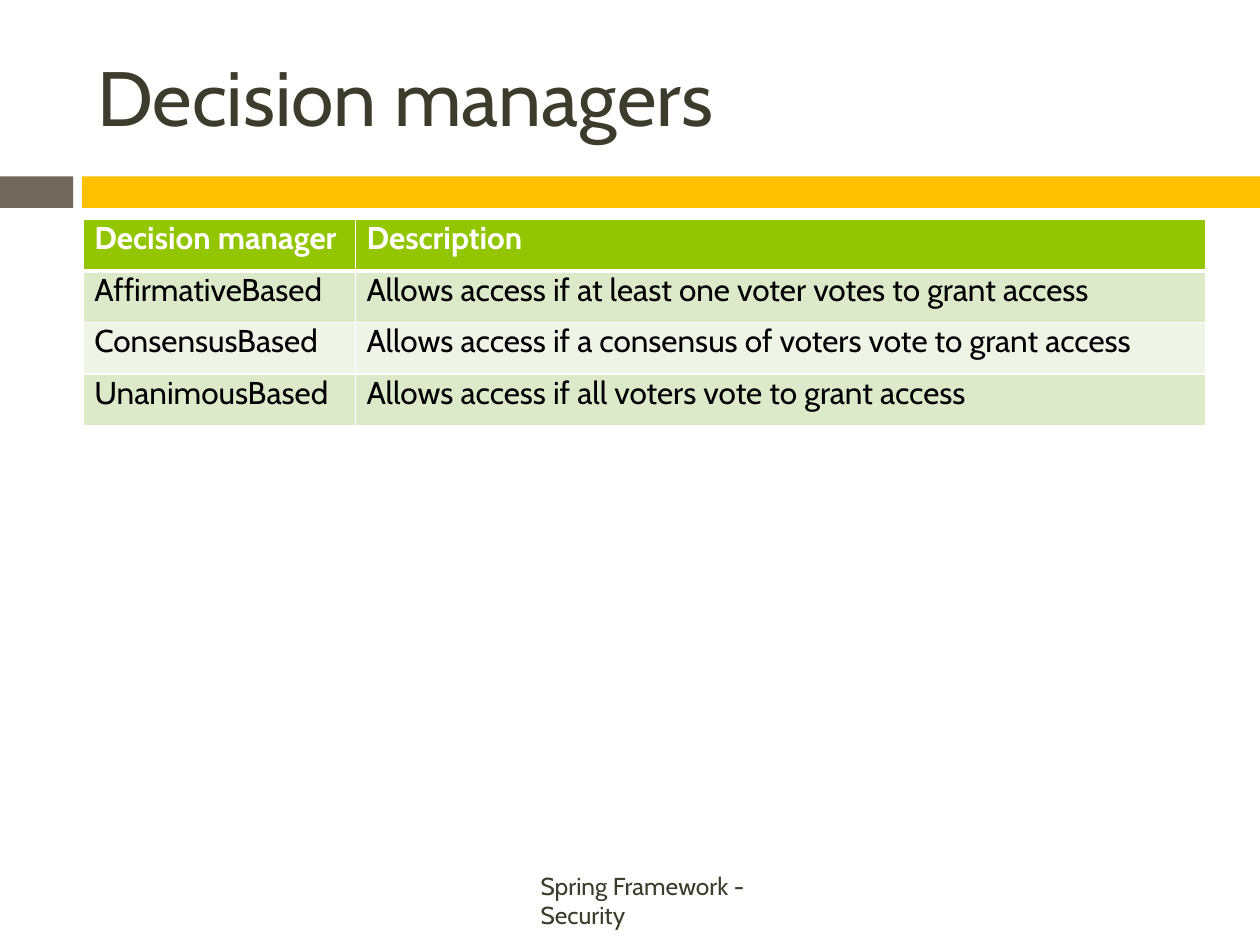
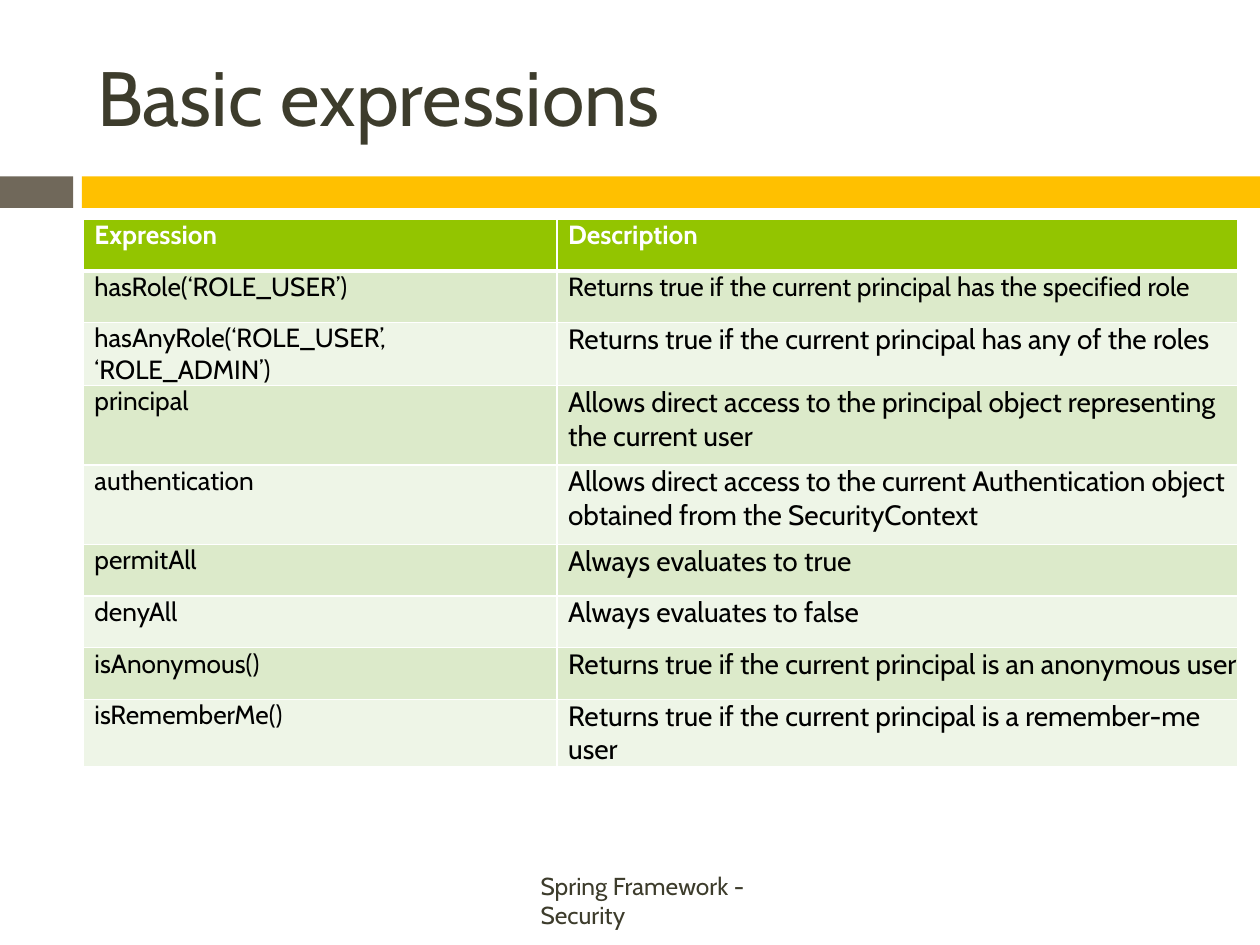
from lxml import etree
from pptx import Presentation
from pptx.dml.color import RGBColor
from pptx.enum.shapes import MSO_SHAPE
from pptx.oxml.ns import qn
from pptx.util import Inches, Pt

RECTANGLE = MSO_SHAPE.RECTANGLE
FONT = "Cabin"
INK, WHITE, BLACK = "3D3C2C", "FFFFFF", "000000"
HEADER_FILL = "93C500"
ROW_FILLS = ("DCEACA", "EEF5E7")
BANDS = [(0, 0.58, "70685A"), (0.65, 9.35, "FFC000")]
FOOTER = "Spring Framework - Security"

PAGES = [
    {
        "title": "Decision managers",
        "widths": (2.16, 6.75),
        "sizes": (18, 18),
        "tall_rows": (),
        "small_rows": (),
        "rows": [
            ("Decision manager", "Description"),
            ("AffirmativeBased", "Allows access if at least one voter votes to grant access"),
            ("ConsensusBased", "Allows access if a consensus of voters vote to grant access"),
            ("UnanimousBased", "Allows access if all voters vote to grant access"),
        ],
    },
    {
        "title": "Basic expressions",
        "widths": (3.76, 5.4),
        "sizes": (15, 16),
        "tall_rows": (3, 4),
        "small_rows": (0, 1),
        "rows": [
            ("Expression", "Description"),
            ("hasRole(‘ROLE_USER’)", "Returns true if the current principal has the specified role"),
            ("hasAnyRole(‘ROLE_USER’, ‘ROLE_ADMIN’)",
             "Returns true if the current principal has any of the roles"),
            ("principal", "Allows direct access to the principal object representing the current user"),
            ("authentication",
             "Allows direct access to the current Authentication object\n"
             "obtained from the SecurityContext"),
            ("permitAll", "Always evaluates to true"),
            ("denyAll", "Always evaluates to false"),
            ("isAnonymous()", "Returns true if the current principal is an anonymous user"),
            ("isRememberMe()", "Returns true if the current principal is a remember-me user"),
        ],
    },
]


def color(value):
    return RGBColor.from_string(value)


def write(frame, text, size, ink=INK, bold=False):
    frame.word_wrap = True
    for index, line in enumerate(text.split("\n")):
        para = frame.add_paragraph() if index else frame.paragraphs[0]
        span = para.add_run()
        span.text = line
        span.font.name = FONT
        span.font.size = Pt(size)
        span.font.bold = bold
        span.font.color.rgb = color(ink)


def add_text(page, text, left, top, width, height, **style):
    box = page.shapes.add_textbox(Inches(left), Inches(top), Inches(width), Inches(height))
    frame = box.text_frame
    frame.margin_left = frame.margin_right = frame.margin_top = frame.margin_bottom = 0
    write(frame, text, **style)


def add_band(page, left, width, fill):
    band = page.shapes.add_shape(RECTANGLE, Inches(left), Inches(1.4), Inches(width), Inches(0.25))
    band.shadow.inherit = False
    band.fill.solid()
    band.fill.fore_color.rgb = color(fill)
    band.line.fill.background()


def set_borders(cell, **points):
    properties = cell._tc.get_or_add_tcPr()
    for side in "LRTB":
        line = etree.SubElement(properties, qn(f"a:ln{side}"), w=str(Pt(points.get(side, 1))))
        fill = etree.SubElement(line, qn("a:solidFill"))
        etree.SubElement(fill, qn("a:srgbClr"), val=WHITE)


def add_grid(page, content):
    rows, widths = content["rows"], content["widths"]
    heights = [0.63 if index in content["tall_rows"] else 0.41 for index in range(len(rows))]
    table = page.shapes.add_table(
        len(rows), len(widths), Inches(0.66), Inches(1.74),
        Inches(sum(widths)), Inches(sum(heights))).table
    table.horz_banding = False
    for column, width in zip(table.columns, widths):
        column.width = Inches(width)
    for row_index, texts in enumerate(rows):
        table.rows[row_index].height = Inches(heights[row_index])
        header = row_index == 0
        for column_index, text in enumerate(texts):
            cell = table.cell(row_index, column_index)
            cell.margin_left = Inches(0.09)
            cell.margin_right = cell.margin_top = cell.margin_bottom = 0
            set_borders(cell, T=3 if row_index == 1 else 1, B=3 if header else 1)
            cell.fill.solid()
            cell.fill.fore_color.rgb = color(HEADER_FILL if header else ROW_FILLS[(row_index - 1) % 2])
            size_index = 0 if row_index in content["small_rows"] else column_index
            write(cell.text_frame, text, size=content["sizes"][size_index],
                  ink=WHITE if header else BLACK, bold=header)


def main():
    deck = Presentation()
    deck.slide_width, deck.slide_height = Inches(10), Inches(7.5)
    for content in PAGES:
        page = deck.slides.add_slide(deck.slide_layouts[6])
        for band in BANDS:
            add_band(page, *band)
        add_text(page, content["title"], 0.77, 0.39, 8.48, 0.76, size=44)
        add_text(page, FOOTER, 4.29, 6.91, 2.22, 0.25, size=14)
        add_grid(page, content)
    deck.save("out.pptx")


if __name__ == "__main__":
    main()
